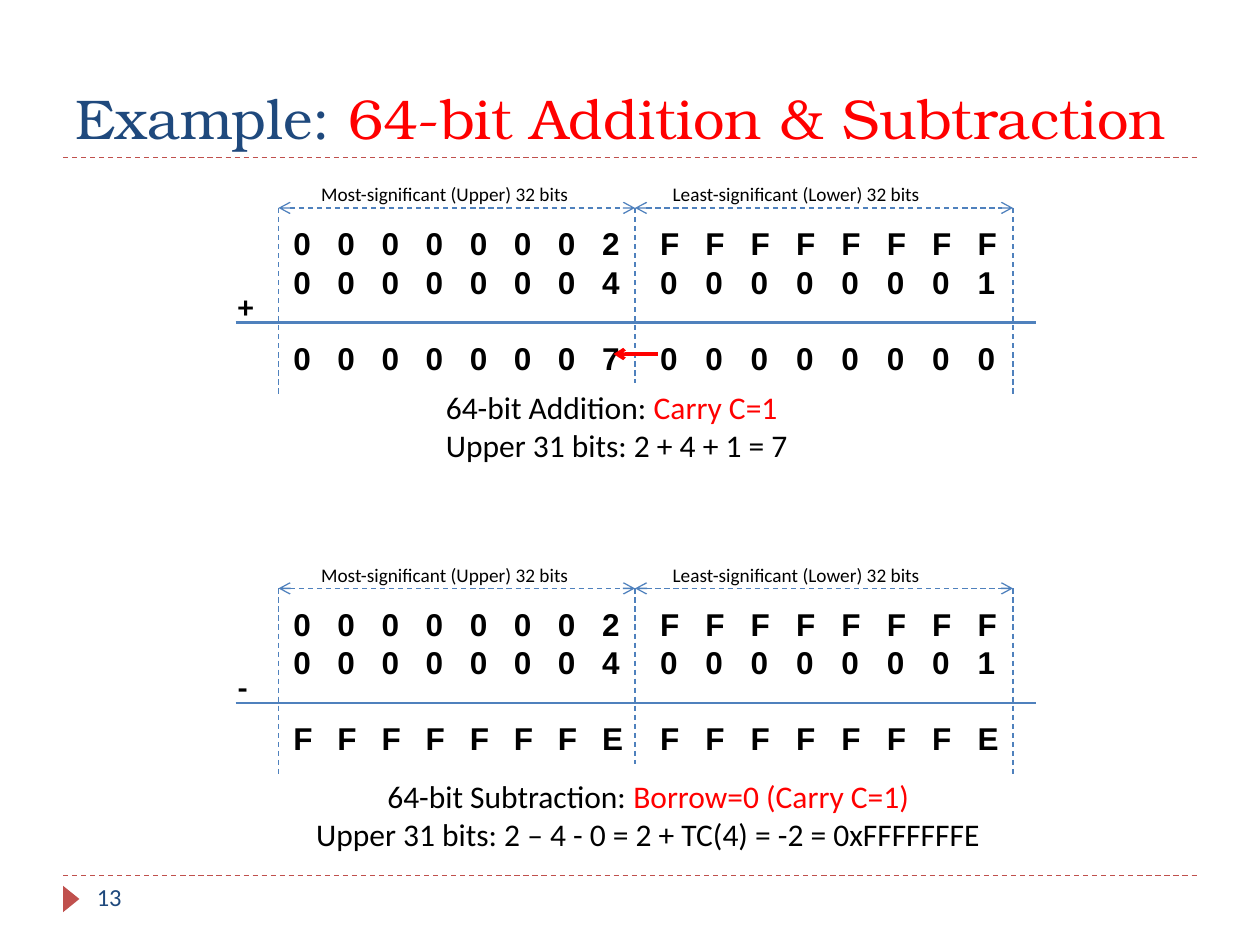
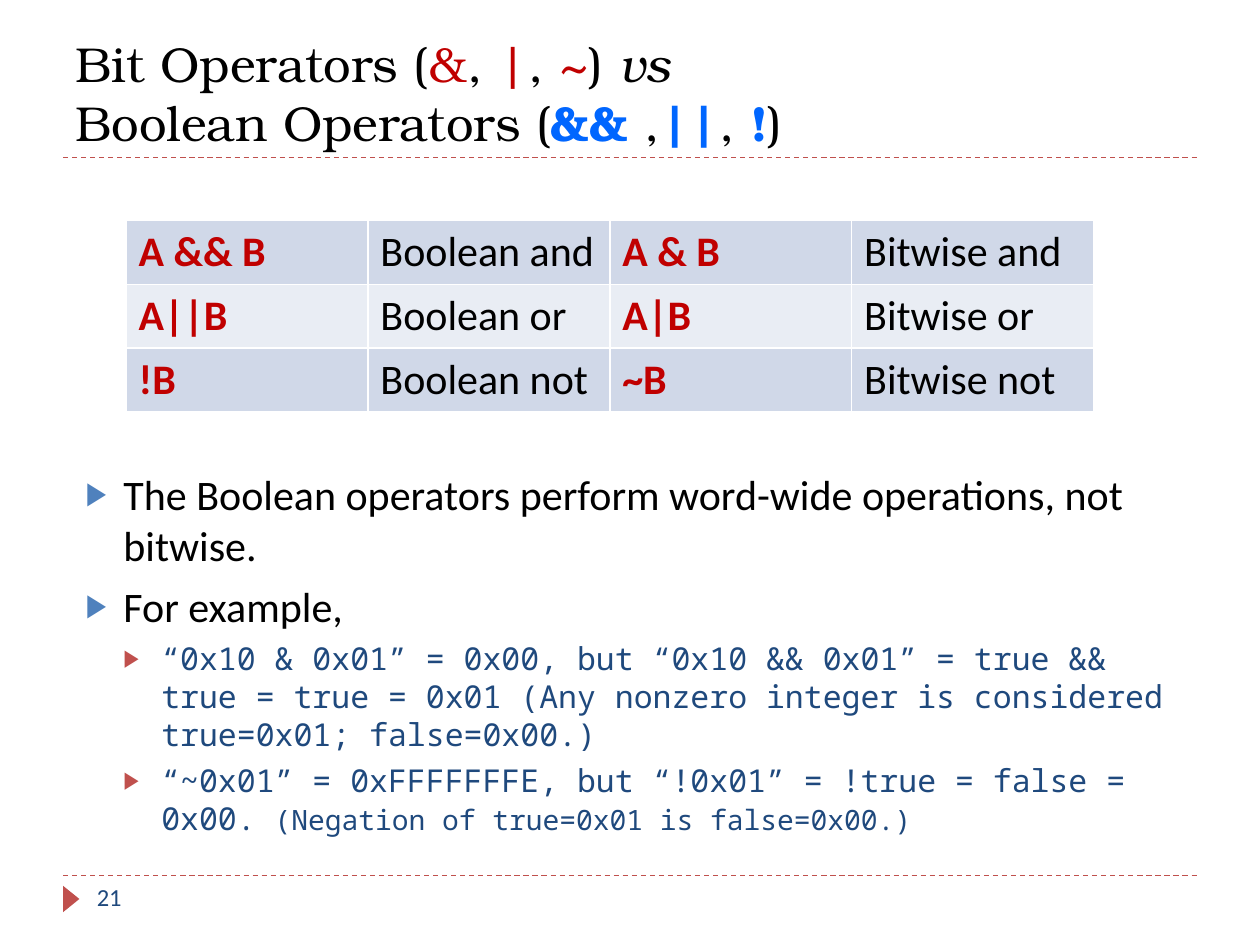
"""Build two slides on 64-bit arithmetic and on bit versus Boolean operators."""
import pptx
import pptx.dml.color
import pptx.enum.dml
import pptx.enum.shapes
import pptx.enum.text
import pptx.oxml.ns
import pptx.util
from lxml import etree

Inches = pptx.util.Inches
Pt = pptx.util.Pt
RGBColor = pptx.dml.color.RGBColor
qn = pptx.oxml.ns.qn
PP_ALIGN = pptx.enum.text.PP_ALIGN

BLACK = RGBColor(0x00, 0x00, 0x00)
NAVY = RGBColor(0x1F, 0x49, 0x7D)
BLUE = RGBColor(0x4F, 0x81, 0xBD)
BRICK = RGBColor(0xC0, 0x50, 0x4D)
RED = RGBColor(0xFF, 0x00, 0x00)
DARK_RED = RGBColor(0xC0, 0x00, 0x00)
BRIGHT_BLUE = RGBColor(0x00, 0x66, 0xFF)
BAND_DARK = RGBColor(0xD0, 0xD8, 0xE8)
BAND_LIGHT = RGBColor(0xE9, 0xED, 0xF4)
TITLE_FONT = "TeX Gyre Bonum"
TEXT_FONT = "Calibri"
DIGIT_FONT = "Arial"
CODE_FONT = "Noto Sans Mono"


def add_line(slide, start, end, color, width=0.75, dashed=True, arrows=()):
    """Draw a straight line, with arrowheads at the named ends."""
    line = slide.shapes.add_connector(
        pptx.enum.shapes.MSO_CONNECTOR.STRAIGHT,
        *(Inches(value) for value in start + end))
    line.line.color.rgb = color
    line.line.width = Pt(width)
    if dashed:
        line.line.dash_style = pptx.enum.dml.MSO_LINE.DASH
    properties = line._element.spPr
    for arrow in arrows:
        etree.SubElement(properties.find(qn("a:ln")), qn(f"a:{arrow}"), type="arrow")
    etree.SubElement(properties, qn("a:effectLst"))


def add_runs(paragraph, runs, font, size, bold=False):
    """Add (text, colour) runs in one font and size."""
    for text, color in runs:
        run = paragraph.add_run()
        run.text = text
        run.font.name = font
        run.font.size = Pt(size)
        run.font.bold = bold
        run.font.color.rgb = color


presentation = pptx.Presentation()
presentation.slide_width = Inches(10)
presentation.slide_height = Inches(7.5)
title_only_layout = presentation.slide_layouts[5]
content_layout = presentation.slide_layouts[1]
arithmetic_slide = presentation.slides.add_slide(title_only_layout)
operator_slide = presentation.slides.add_slide(content_layout)

for slide, number, title_width in ((arithmetic_slide, "13", 9), (operator_slide, "21", 9.33)):
    for rule_top in (6.95, 1.25):
        add_line(slide, (0.5, rule_top), (9.5, rule_top), BRICK)
    marker = slide.shapes.add_shape(
        pptx.enum.shapes.MSO_SHAPE.ISOSCELES_TRIANGLE,
        Inches(0.46), Inches(7.07), Inches(0.21), Inches(0.13))
    marker.rotation = 90
    marker.shadow.inherit = False
    marker.fill.solid()
    marker.fill.fore_color.rgb = BRICK
    marker.line.fill.background()
    number_box = slide.shapes.add_textbox(Inches(0.67), Inches(6.95), Inches(2.17), Inches(0.4))
    number_box.text_frame.word_wrap = True
    add_runs(number_box.text_frame.paragraphs[0], [(number, NAVY)], TEXT_FONT, 14)
    title = slide.shapes.title
    title.left, title.top = Inches(0.5), Inches(0.17)
    title.width, title.height = Inches(title_width), Inches(1.08)
    title.text_frame.auto_size = pptx.enum.text.MSO_AUTO_SIZE.NONE
    title.text_frame.vertical_anchor = pptx.enum.text.MSO_ANCHOR.BOTTOM
    title.text_frame.paragraphs[0].alignment = PP_ALIGN.LEFT

add_runs(arithmetic_slide.shapes.title.text_frame.paragraphs[0],
         [("Example: ", NAVY), ("64-bit Addition & Subtraction", RED)], TITLE_FONT, 32)

LEFT_EDGE, MIDDLE, RIGHT_EDGE = 2.21, 5.04, 8.04
UPPER_STEP, LOWER_START, LOWER_STEP = 0.35, 2.91, 0.36
digit_stops = [UPPER_STEP * column for column in range(1, 8)]
digit_stops += [LOWER_START + LOWER_STEP * column for column in range(8)]
examples = [
    (0, "+", "0000000700000000", (3.44, 3.03, 3.08), PP_ALIGN.LEFT,
     [[("64-bit Addition: ", BLACK), ("Carry C=1", RED)],
      [("Upper 31 bits: 2 + 4 + 1 = 7", BLACK)]]),
    (3.02, "-", "FFFFFFFEFFFFFFFE", (2.14, 3.1, 6.01), PP_ALIGN.CENTER,
     [[("64-bit Subtraction: ", BLACK), ("Borrow=0 (Carry C=1)", RED)],
      [("Upper 31 bits: 2 – 4 - 0 = 2 + TC(4) = -2 = 0xFFFFFFFE", BLACK)]]),
]

for top, operator, result, caption_place, caption_alignment, caption in examples:
    add_line(arithmetic_slide, (1.87, top + 2.56), (8.22, top + 2.56), BLUE, 1.5, dashed=False)
    for edge, bottom in ((MIDDLE, 3.04), (LEFT_EDGE, 3.15), (RIGHT_EDGE, 3.15)):
        add_line(arithmetic_slide, (edge, top + 1.65), (edge, top + bottom), BLUE)
    for start, end in ((LEFT_EDGE, MIDDLE), (MIDDLE, RIGHT_EDGE)):
        add_line(arithmetic_slide, (start, top + 1.65), (end, top + 1.65), BLUE,
                 arrows=("headEnd", "tailEnd"))

    digit_box = arithmetic_slide.shapes.add_textbox(
        Inches(2.23), Inches(top + 1.73), Inches(5.99), Inches(1.31))
    digit_box.text_frame.word_wrap = True
    for row, digits in enumerate(("00000002FFFFFFFF", "0000000400000001", result)):
        paragraph = digit_box.text_frame.paragraphs[0] if row == 0 else digit_box.text_frame.add_paragraph()
        tab_list = etree.SubElement(paragraph._p.get_or_add_pPr(), qn("a:tabLst"))
        for stop in digit_stops:
            etree.SubElement(tab_list, qn("a:tab"), pos=str(Inches(stop)), algn="l")
        paragraph.line_spacing = Pt(21.8)
        paragraph.space_before = Pt(21.8 if row == 2 else 0)
        add_runs(paragraph, [("\t".join(digits), BLACK)], DIGIT_FONT, 18, bold=True)

    labels = [
        (2.45, 1.4, 2.17, 0.29, "Most-significant (Upper) 32 bits", 11, False),
        (5.24, 1.4, 2.19, 0.29, "Least-significant (Lower) 32 bits", 11, False),
        (1.79, 2.23, 0.35, 0.4, operator, 18, True),
    ]
    for left, offset, width, height, text, size, bold in labels:
        label = arithmetic_slide.shapes.add_textbox(
            Inches(left), Inches(top + offset), Inches(width), Inches(height))
        label.text_frame.word_wrap = False
        add_runs(label.text_frame.paragraphs[0], [(text, BLACK)], TEXT_FONT, size, bold)

    left, offset, width = caption_place
    caption_box = arithmetic_slide.shapes.add_textbox(
        Inches(left), Inches(top + offset), Inches(width), Inches(0.71))
    caption_box.text_frame.word_wrap = True
    for row, runs in enumerate(caption):
        paragraph = caption_box.text_frame.paragraphs[0] if row == 0 else caption_box.text_frame.add_paragraph()
        paragraph.alignment = caption_alignment
        add_runs(paragraph, runs, TEXT_FONT, 18)

add_line(arithmetic_slide, (5.22, 2.81), (4.87, 2.81), RED, 2, dashed=False, arrows=("tailEnd",))

heading = operator_slide.shapes.title.text_frame.paragraphs[0]
add_runs(heading, [("Bit Operators (", BLACK), ("&", DARK_RED), (",", BLACK), (" |", DARK_RED),
                   (", ", BLACK), ("~", DARK_RED), (") ", BLACK), ("vs", BLACK)], TITLE_FONT, 28)
heading.runs[-1].font.italic = True
heading.add_line_break()
add_runs(heading, [("Boolean Operators (", BLACK), ("&&", BRIGHT_BLUE), (" ,", BLACK),
                   ("||", BRIGHT_BLUE), (", ", BLACK), ("!", BRIGHT_BLUE), (")", BLACK)], TITLE_FONT, 28)
for run in heading.runs:
    if run.text in ("&&", "||", "!"):
        run.font.bold = True

operator_rows = [
    ("A && B", "Boolean and", "A & B", "Bitwise and"),
    ("A||B", "Boolean or", "A|B", "Bitwise or"),
    ("!B", "Boolean not", "~B", "Bitwise not"),
]
table = operator_slide.shapes.add_table(
    3, 4, Inches(1), Inches(1.75), Inches(7.67), Inches(1.52)).table
table.first_row = False
table.horz_banding = False
for column in table.columns:
    column.width = Inches(1.92)
for row, texts in enumerate(operator_rows):
    for column, text in enumerate(texts):
        cell = table.cell(row, column)
        is_operator = column % 2 == 0
        for side in ("lnL", "lnR", "lnT", "lnB"):
            border = etree.SubElement(cell._tc.get_or_add_tcPr(), qn(f"a:{side}"), w=str(Pt(1)))
            border_fill = etree.SubElement(border, qn("a:solidFill"))
            etree.SubElement(border_fill, qn("a:srgbClr"), val="FFFFFF")
        cell.fill.solid()
        cell.fill.fore_color.rgb = BAND_LIGHT if row == 1 else BAND_DARK
        color = DARK_RED if is_operator else BLACK
        add_runs(cell.text_frame.paragraphs[0], [(text, color)], TEXT_FONT, 24, bold=is_operator)

body = operator_slide.placeholders[1]
body.left, body.top, body.width, body.height = Inches(0.58), Inches(3.67), Inches(9), Inches(2.73)
body.text_frame.auto_size = pptx.enum.text.MSO_AUTO_SIZE.NONE
bullets = [
    (0, "The Boolean operators perform word-wide operations, not bitwise."),
    (0, "For example,"),
    (1, "“0x10 & 0x01” = 0x00, but “0x10 && 0x01” = true && true = true = 0x01 "
        "(Any nonzero integer is considered true=0x01; false=0x00.)"),
    (1, "“~0x01” = 0xFFFFFFFE, but “!0x01” = !true = false = 0x00. "),
]
level_styles = [(TEXT_FONT, 24, BLACK, BLUE, 6), (CODE_FONT, 18, NAVY, BRICK, 5)]
for index, (level, text) in enumerate(bullets):
    font, size, color, bullet_color, gap = level_styles[level]
    paragraph = body.text_frame.paragraphs[0] if index == 0 else body.text_frame.add_paragraph()
    paragraph.level = level
    properties = paragraph._p.get_or_add_pPr()
    properties.set("marL", str(Inches(0.3 * (level + 1))))
    properties.set("indent", str(Inches(-0.3)))
    bullet_fill = etree.SubElement(properties, qn("a:buClr"))
    etree.SubElement(bullet_fill, qn("a:srgbClr"), val=str(bullet_color))
    etree.SubElement(properties, qn("a:buSzPct"), val="76000")
    etree.SubElement(properties, qn("a:buChar"), char="▶")
    paragraph.space_before = Pt(gap if index else 0)
    add_runs(paragraph, [(text, color)], font, size)
add_runs(paragraph, [("(Negation of true=0x01 is false=0x00.)", NAVY)], CODE_FONT, 16)

presentation.save("out.pptx")
